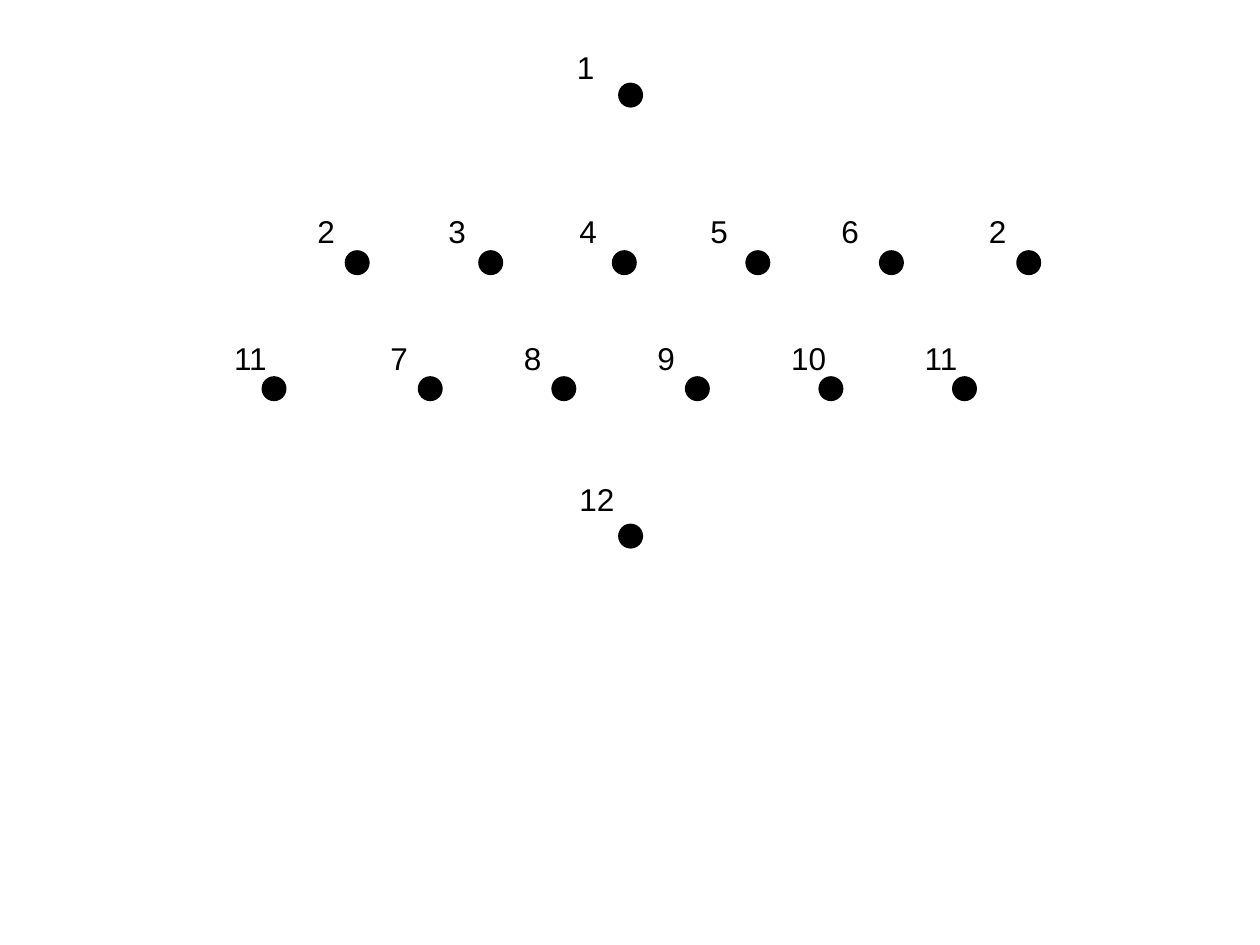
import pptx
import pptx.dml.color
import pptx.enum.shapes
import pptx.enum.text
import pptx.util

COLUMNS, ROWS = 10, 7.5
DOT = 0.17
LABEL_HEIGHT = 0.4
LABEL_WIDTHS = {"10": 0.48, "11": 0.46, "12": 0.48}
DIGIT_WIDTH = 0.34
BLACK = "000000"

deck = pptx.Presentation()
deck.slide_width = pptx.util.Inches(10)
deck.slide_height = pptx.util.Inches(7.5)


def color(value):
    return pptx.dml.color.RGBColor.from_string(value)


def grid(left, top, width, height):
    column = deck.slide_width / COLUMNS
    row = deck.slide_height / ROWS
    return (round(left * column), round(top * row),
            round(width * column), round(height * row))


def place_dot(page, left, top):
    dot = page.shapes.add_shape(
        pptx.enum.shapes.MSO_SHAPE.OVAL, *grid(left, top, DOT, DOT))
    dot.shadow.inherit = False
    dot.fill.solid()
    dot.fill.fore_color.rgb = color(BLACK)
    dot.line.color.rgb = color(BLACK)
    dot.line.width = pptx.util.Pt(2)


def place_label(page, left, top, text):
    width = LABEL_WIDTHS.get(text, DIGIT_WIDTH)
    label = page.shapes.add_textbox(*grid(left, top, width, LABEL_HEIGHT))
    frame = label.text_frame
    frame.word_wrap = False
    frame.auto_size = pptx.enum.text.MSO_AUTO_SIZE.SHAPE_TO_FIT_TEXT
    para = frame.paragraphs[0]
    para.text = text
    para.font.name = "Arial"
    para.font.size = pptx.util.Pt(18)
    para.font.color.rgb = color(BLACK)


def place_vertex(page, box, text):
    left, top, width, height = box
    place_dot(page, left + width - DOT, top + height - DOT)
    place_label(page, left, top, text)


def place_row(page, box, texts, label_pitch, dot_pitch):
    left, top, width, height = box
    for index, text in enumerate(texts):
        cell = (left + index * label_pitch, top,
                width + index * (dot_pitch - label_pitch), height)
        place_vertex(page, cell, text)


def main():
    page = deck.slides.add_slide(deck.slide_layouts[6])
    place_vertex(page, (4.48, 0.33, 0.61, 0.51), "1")
    place_row(page, (2.42, 1.63, 0.5, 0.54), ["2", "3", "4", "5", "6"], 1.04, 1.06)
    place_vertex(page, (7.75, 1.63, 0.5, 0.54), "2")
    place_vertex(page, (1.76, 2.64, 0.5, 0.53), "11")
    place_row(page, (3, 2.64, 0.5, 0.53), ["7", "8", "9", "10", "11"], 1.06, 1.06)
    place_vertex(page, (4.5, 3.76, 0.59, 0.58), "12")
    deck.save("out.pptx")


if __name__ == "__main__":
    main()
